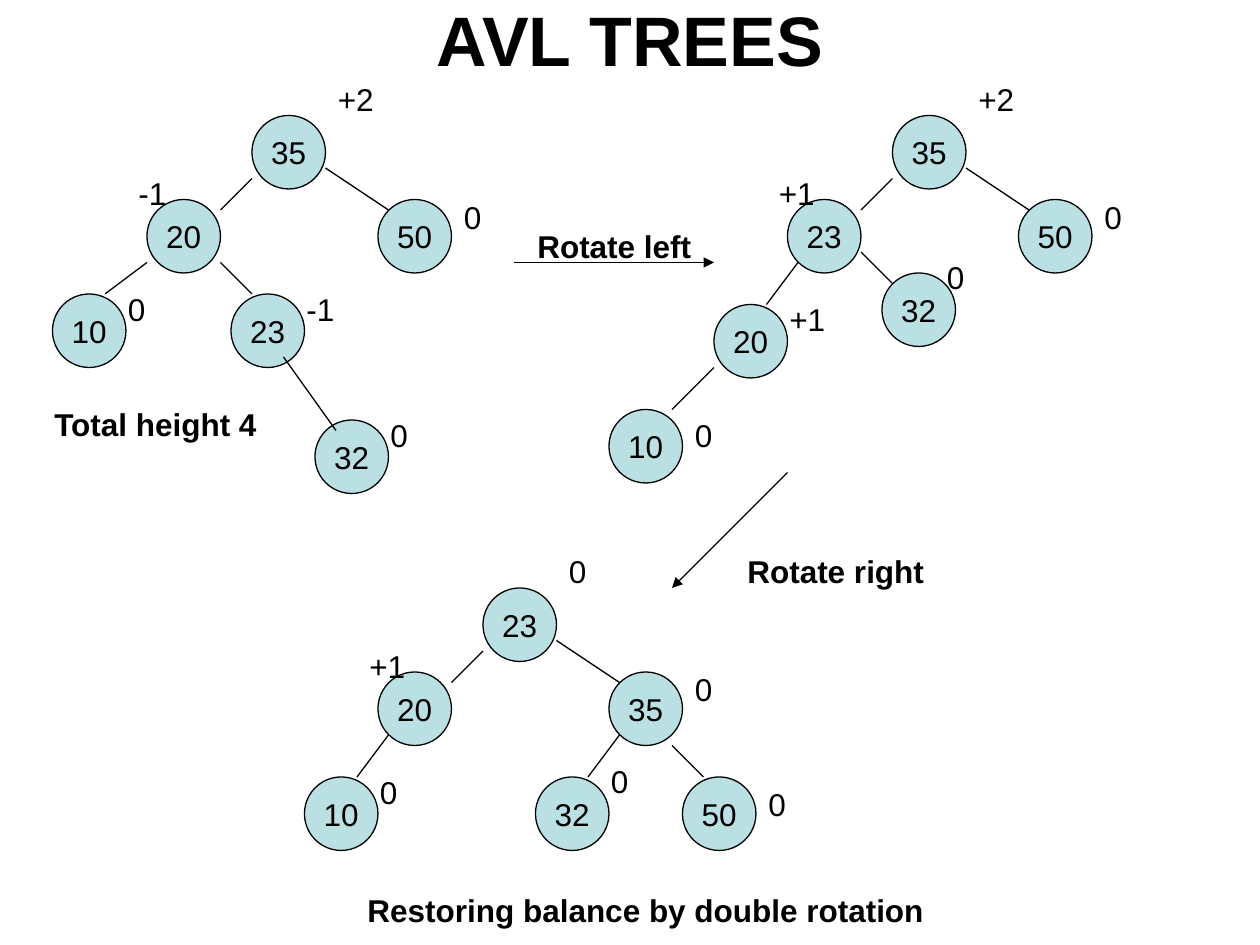
import pptx
import pptx.util
import pptx.dml.color
import pptx.enum.shapes
import pptx.enum.text
import pptx.oxml.ns
from lxml import etree

Pt = pptx.util.Pt
ALIGN = pptx.enum.text.PP_ALIGN
ANCHOR = pptx.enum.text.MSO_ANCHOR
FIT = pptx.enum.text.MSO_AUTO_SIZE

TITLE = "AVL TREES"
COLORS = {"ink": "000000", "node": "BBE0E3", "paper": "FFFFFF"}
FONT = "Arial"
DIAMETER = 42
LABEL_HEIGHT = 28.8

LABEL_SPOTS = {
    "above": (42, -24),
    "left": (-12, -18),
    "right": (42, -4.5),
    "near": (36, -6),
    "beside": (42, 0),
    "lower": (42, 1),
    "corner": (30, -12),
    "upper": (36, -12),
}
CROWN_SPOTS = [(0, 0, "above"), (-60, 48, "left"), (72, 48, "right")]
CROWN_BRANCHES = [((42, 30), (78, 54)), ((0, 36), (-18, 54))]

TREES = [
    {
        "root": (144, 66),
        "crown": [("35", "+2"), ("20", "-1"), ("50", "0")],
        "lower": [
            ("10", "0", -114, 102, "near"),
            ("23", "-1", -12, 102, "near"),
            ("32", "0", 36, 174, "near"),
        ],
        "branches": [((-60, 84), (-84, 102)), ((-18, 84), (0, 102)), ((18, 138), (48, 180))],
    },
    {
        "root": (510, 66),
        "crown": [("35", "+2"), ("23", "+1"), ("50", "0")],
        "lower": [
            ("20", "+1", -102, 108, "near"),
            ("32", "0", -6, 90, "corner"),
            ("10", "0", -162, 168, "beside"),
        ],
        "branches": [((-54, 84), (-72, 108)), ((-18, 78), (0, 96)), ((-102, 144), (-126, 168))],
    },
    {
        "root": (276, 336),
        "crown": [("23", "0"), ("20", "+1"), ("35", "0")],
        "lower": [
            ("10", "0", -102, 108, "near"),
            ("32", "0", 30, 108, "upper"),
            ("50", "0", 114, 108, "lower"),
        ],
        "branches": [((-54, 84), (-72, 108)), ((78, 84), (60, 108)), ((108, 90), (126, 108))],
    },
]

CAPTIONS = [
    ("Total height 4", 24, 228, 210, ALIGN.LEFT),
    ("Rotate left", 300, 126, 144, ALIGN.LEFT),
    ("Rotate right", 420, 312, 210, ALIGN.LEFT),
    ("Restoring balance by double rotation", 96, 505.5, 546, ALIGN.CENTER),
]
ROTATIONS = [((294, 150), (408, 150)), ((450, 270), (384, 336))]


def color(name):
    return pptx.dml.color.RGBColor.from_string(COLORS[name])


def write(shape, text, size, bold, align):
    para = shape.text_frame.paragraphs[0]
    para.text = text
    para.alignment = align
    para.space_before = Pt(0)
    for span in para.runs:
        span.font.name = FONT
        span.font.size = Pt(size)
        span.font.bold = bold
        span.font.color.rgb = color("ink")


def add_label(page, text, left, top, width=DIAMETER, bold=False, align=ALIGN.LEFT):
    box = page.shapes.add_textbox(Pt(left), Pt(top), Pt(width), Pt(LABEL_HEIGHT))
    box.text_frame.word_wrap = True
    box.text_frame.auto_size = FIT.SHAPE_TO_FIT_TEXT
    write(box, text, 18, bold, align)


def add_node(page, value, left, top):
    node = page.shapes.add_shape(
        pptx.enum.shapes.MSO_SHAPE.OVAL, Pt(left), Pt(top), Pt(DIAMETER), Pt(DIAMETER)
    )
    node.shadow.inherit = False
    node.fill.solid()
    node.fill.fore_color.rgb = color("node")
    node.line.color.rgb = color("ink")
    node.line.width = Pt(0.75)
    node.text_frame.word_wrap = False
    node.text_frame.vertical_anchor = ANCHOR.MIDDLE
    write(node, value, 18, False, ALIGN.CENTER)


def add_line(page, start, end, arrow=False):
    line = page.shapes.add_connector(
        pptx.enum.shapes.MSO_CONNECTOR.STRAIGHT, *(Pt(value) for value in start + end)
    )
    line.line.color.rgb = color("ink")
    line.line.width = Pt(0.75)
    qualify = pptx.oxml.ns.qn
    if arrow:
        etree.SubElement(line.line._get_or_add_ln(), qualify("a:tailEnd"), type="triangle")
    etree.SubElement(line._element.spPr, qualify("a:effectLst"))


def add_tree(page, tree):
    root_left, root_top = tree["root"]
    crown = [pair + spot for pair, spot in zip(tree["crown"], CROWN_SPOTS)]
    nodes = [
        (value, balance, root_left + across, root_top + down, spot)
        for value, balance, across, down, spot in crown + tree["lower"]
    ]
    for value, balance, left, top, spot in nodes:
        add_node(page, value, left, top)
    for value, balance, left, top, spot in nodes:
        across, down = LABEL_SPOTS[spot]
        add_label(page, balance, left + across, top + down)
    for branch in CROWN_BRANCHES + tree["branches"]:
        start, end = [(root_left + across, root_top + down) for across, down in branch]
        add_line(page, start, end)


def main():
    deck = pptx.Presentation()
    deck.slide_width, deck.slide_height = Pt(720), Pt(540)
    page = deck.slides.add_slide(deck.slide_layouts[5])
    page.background.fill.solid()
    page.background.fill.fore_color.rgb = color("paper")

    title = page.shapes.title
    title.left, title.top, title.width, title.height = Pt(36), Pt(6), Pt(648), Pt(32.4)
    title.text_frame.auto_size = FIT.NONE
    title.text_frame.vertical_anchor = ANCHOR.MIDDLE
    write(title, TITLE, 40, True, ALIGN.CENTER)

    for tree in TREES:
        add_tree(page, tree)
    for text, left, top, width, align in CAPTIONS:
        add_label(page, text, left, top, width, True, align)
    for start, end in ROTATIONS:
        add_line(page, start, end, arrow=True)

    deck.save("out.pptx")


if __name__ == "__main__":
    main()
